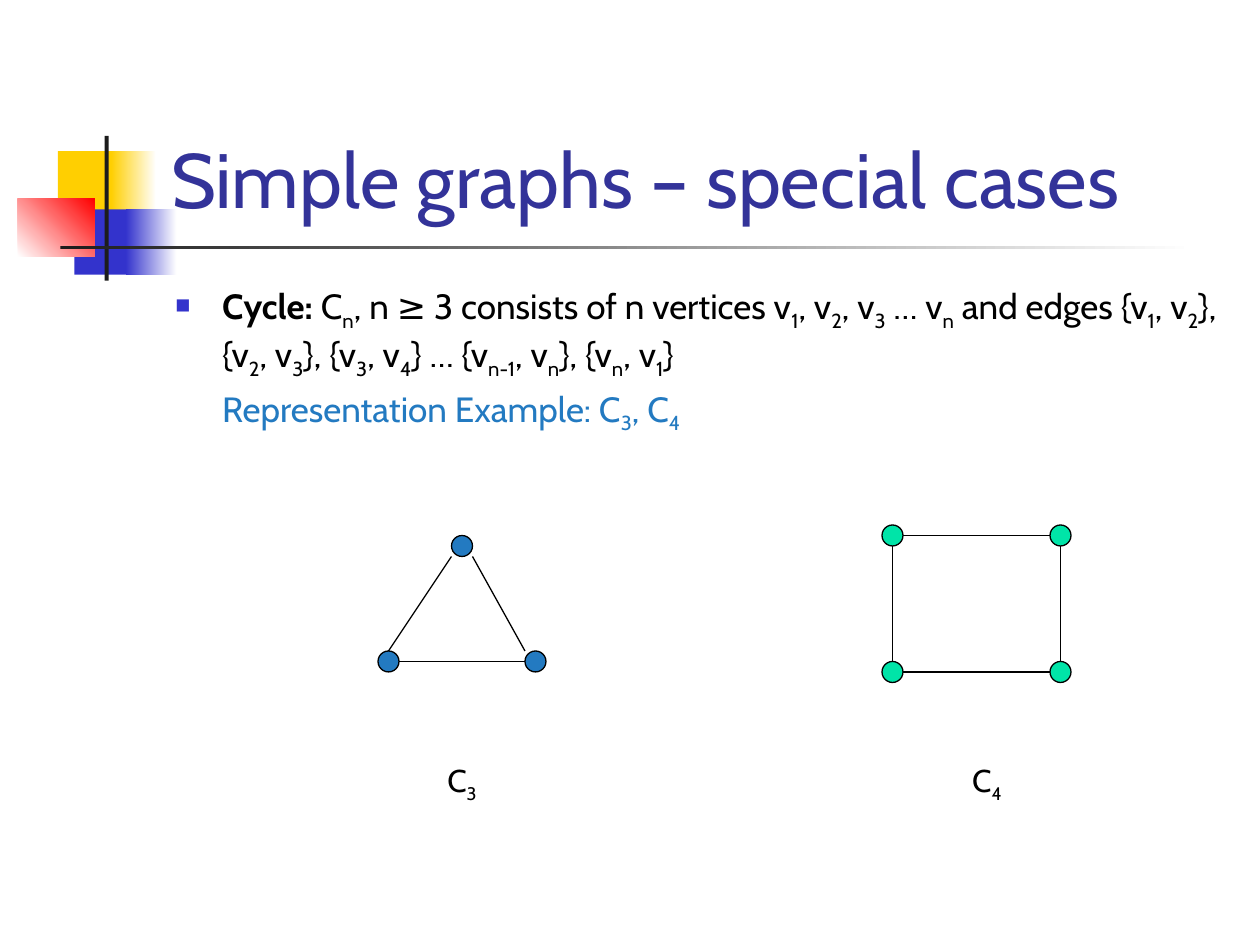
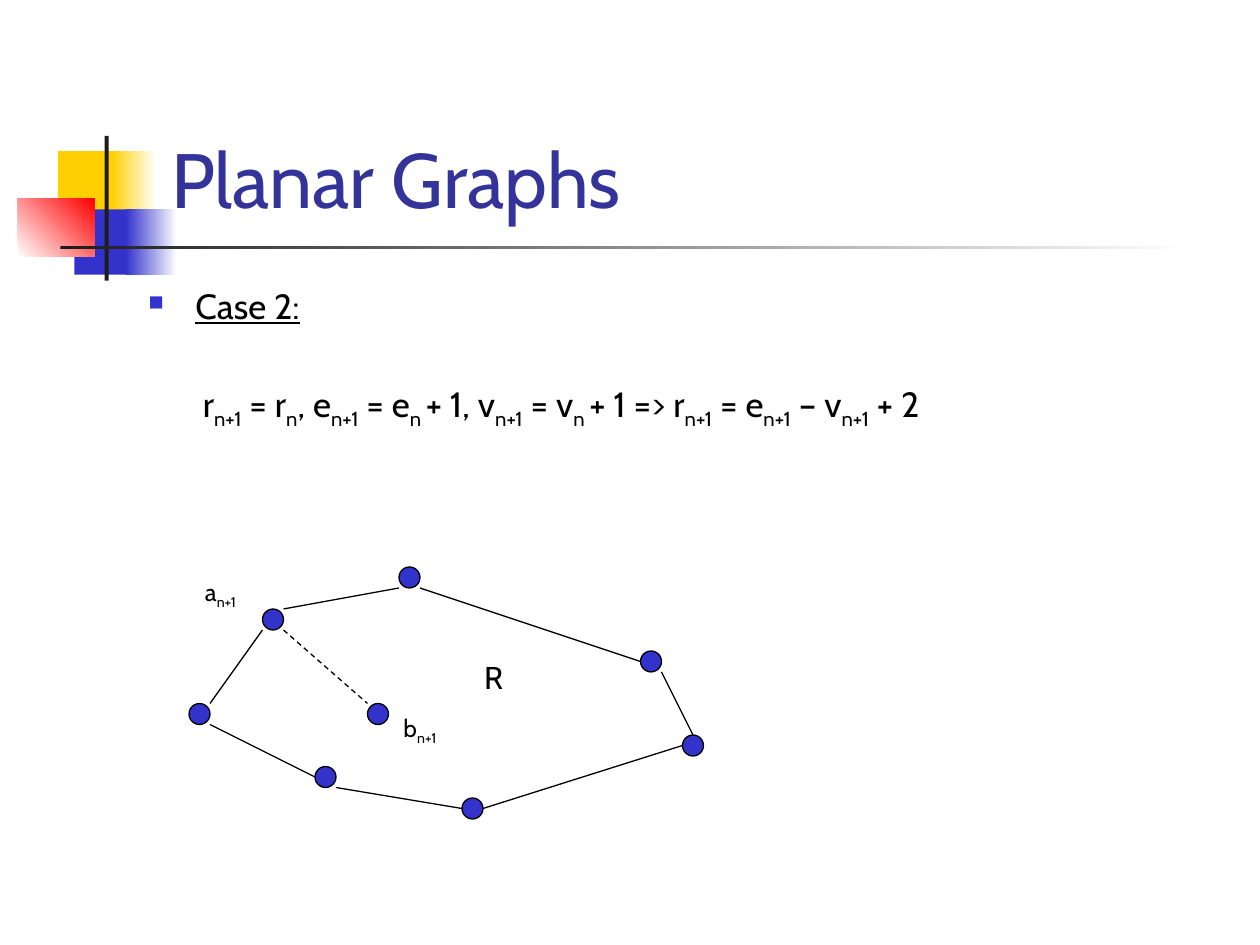
from lxml import etree
from pptx import Presentation
from pptx import util as u
from pptx.dml.color import RGBColor
from pptx.enum import dml, shapes, text
from pptx.oxml.ns import qn

COLORS = {
    "yellow": "FFCF01", "blue": "3333CC", "red": "FF0000", "dark": "1C1C1C",
    "white": "FFFFFF", "black": "000000", "title": "333399",
    "sky": "237AC1", "mint": "00E4A8",
}
FONT = "Cabin"
GRID = u.Cm(2.54) / 12  # step on which the graphs are laid out
INDENT = 0.95

# left, top, width, height in cm, start colour, end colour, angle
ORNAMENTS = [
    (1.17, 3.05, 1.22, 1.32, "yellow", None, 0),
    (2.24, 3.05, 0.91, 1.32, "yellow", "white", 0),
    (1.5, 4.22, 1.17, 1.32, "blue", None, 0),
    (2.54, 4.22, 1.02, 1.32, "blue", "white", 0),
    (0.36, 4.01, 1.55, 1.17, "white", "red", 45),
    (2.11, 2.74, 0.08, 2.92, "dark", None, 0),
    (1.22, 4.95, 22.86, 0.08, "dark", "white", 0),
]

# Text between tildes is subscript.
# Paragraphs: bullet, left indent in cm, space before in pt, runs (text, colour, style)
# Nodes, edges and labels are in grid steps.
SLIDES = [
    {
        "title": "Simple graphs – special cases",
        "body_at": (3.28, 5.61, 21.62, 4.34),
        "body": [
            (True, INDENT, 0, [
                ("Cycle:", "black", "bold"),
                (" C~n~, n ≥ 3 consists of n vertices v~1~, v~2~, v~3~ … v~n~"
                 " and edges {v~1~, v~2~}, {v~2~, v~3~}, {v~3~, v~4~}"
                 " … {v~n-1~, v~n~}, {v~n~, v~1~}", "black", None)]),
            (False, INDENT, 4, [
                ("Representation Example: C~3~, C~4~", "sky", None)]),
        ],
        "nodes": {
            "sky": [(36, 62), (50, 62), (43, 51)],
            "mint": [(84, 50), (100, 50), (84, 63), (100, 63)],
        },
        "edges": [
            (38, 63, 50, 63), (45, 53, 50, 62), (43, 53, 37, 62),
            (86, 51, 100, 51), (101, 52, 101, 63),
            (100, 64, 86, 64), (85, 52, 85, 63),
        ],
        "dashed_edges": [],
        "labels": [(42, 73, "C~3~", 18), (92, 73, "C~4~", 18)],
    },
    {
        "title": "Planar Graphs",
        "body_at": (2.74, 5.61, 22.12, 2.64),
        "body": [
            (True, INDENT, 0, [("Case 2:", "black", "underline")]),
            (False, 1.1, 32, [
                ("r~n+1~ = r~n~, e~n+1~ = e~n ~+ 1, v~n+1~ = v~n ~+ 1 => "
                 "r~n+1~ = e~n+1~ – v~n+1~ + 2", "black", None)]),
        ],
        "nodes": {
            "blue": [(65, 70), (44, 76), (30, 73), (61, 62),
                     (38, 54), (25, 58), (18, 67), (35, 67)],
        },
        "edges": [
            (38, 56, 27, 58), (25, 60, 20, 67), (20, 69, 30, 74),
            (32, 75, 44, 77), (46, 77, 65, 71), (63, 64, 66, 70),
            (40, 56, 61, 63),
        ],
        "dashed_edges": [(27, 60, 35, 67)],
        "labels": [(45, 63, "R", 18), (19, 55, "a~n+1~", 14),
                   (38, 68, "b~n+1~", 14)],
    },
]


def add_runs(p, marked, size, color="black", style=None):
    """Add runs to p; every second piece between tildes is subscript."""
    for i, piece in enumerate(marked.split("~")):
        if not piece:
            continue
        r = p.add_run()
        r.text = piece
        r.font.name = FONT
        r.font.size = u.Pt(size)
        r.font.color.rgb = RGBColor.from_string(COLORS[color])
        if style:
            setattr(r.font, style, True)
        if i % 2:
            r.font._element.set("baseline", "-25000")


def add_filled(s, kind, box, fill, line=None):
    sp = s.shapes.add_shape(kind, *[u.Emu(int(v)) for v in box])
    sp.shadow.inherit = False
    sp.fill.solid()
    sp.fill.fore_color.rgb = RGBColor.from_string(COLORS[fill])
    if line:
        sp.line.color.rgb = RGBColor.from_string(COLORS[line])
        sp.line.width = u.Pt(0.75)
    else:
        sp.line.fill.background()
    return sp


prs = Presentation()
prs.slide_width, prs.slide_height = u.Cm(25.4), u.Cm(19.05)

for content in SLIDES:
    s = prs.slides.add_slide(prs.slide_layouts[6])

    for *box, start, end, angle in ORNAMENTS:
        sp = add_filled(s, shapes.MSO_SHAPE.RECTANGLE,
                        [u.Cm(v) for v in box], start)
        if end:
            sp.fill.gradient()
            sp.fill.gradient_angle = angle
            for stop, color in zip(sp.fill.gradient_stops, (start, end)):
                stop.color.rgb = RGBColor.from_string(COLORS[color])

    tf = s.shapes.add_textbox(u.Cm(3.2), u.Cm(0.58),
                              u.Cm(21.64), u.Cm(4.06)).text_frame
    tf.word_wrap = True
    tf.vertical_anchor = text.MSO_ANCHOR.BOTTOM
    add_runs(tf.paragraphs[0], content["title"], 44, "title")

    tf = s.shapes.add_textbox(*[u.Cm(v) for v in content["body_at"]]).text_frame
    tf.word_wrap = True
    for i, (bullet, indent, before, runs) in enumerate(content["body"]):
        p = tf.add_paragraph() if i else tf.paragraphs[0]
        pPr = p._p.get_or_add_pPr()
        pPr.set("marL", str(u.Cm(indent)))
        if before:
            p.space_before = u.Pt(before)
        if bullet:
            pPr.set("indent", str(-u.Cm(indent)))
            bu_color = etree.SubElement(pPr, qn("a:buClr"))
            etree.SubElement(bu_color, qn("a:srgbClr"), val=COLORS["blue"])
            etree.SubElement(pPr, qn("a:buSzPct"), val="60000")
            etree.SubElement(pPr, qn("a:buChar"), char="■")
        for marked, color, style in runs:
            add_runs(p, marked, 20, color, style)

    for x, y, marked, size in content["labels"]:
        sp = add_filled(s, shapes.MSO_SHAPE.RECTANGLE,
                        [v * GRID for v in (x, y, 4, 3)], "white", "white")
        tf = sp.text_frame
        tf.word_wrap = False
        tf.vertical_anchor = text.MSO_ANCHOR.MIDDLE
        p = tf.paragraphs[0]
        p.alignment = text.PP_ALIGN.CENTER
        add_runs(p, marked, size)

    for edge in content["edges"] + content["dashed_edges"]:
        line = s.shapes.add_connector(shapes.MSO_CONNECTOR.STRAIGHT,
                                      *[u.Emu(int(v * GRID)) for v in edge])
        line.line.color.rgb = RGBColor.from_string(COLORS["black"])
        line.line.width = u.Pt(0.75)
        if edge in content["dashed_edges"]:
            line.line.dash_style = dml.MSO_LINE.DASH
        etree.SubElement(line._element.spPr, qn("a:effectLst"))

    for color, nodes in content["nodes"].items():
        for x, y in nodes:
            add_filled(s, shapes.MSO_SHAPE.OVAL,
                       [v * GRID for v in (x, y, 2, 2)], color, "black")

prs.save("out.pptx")
